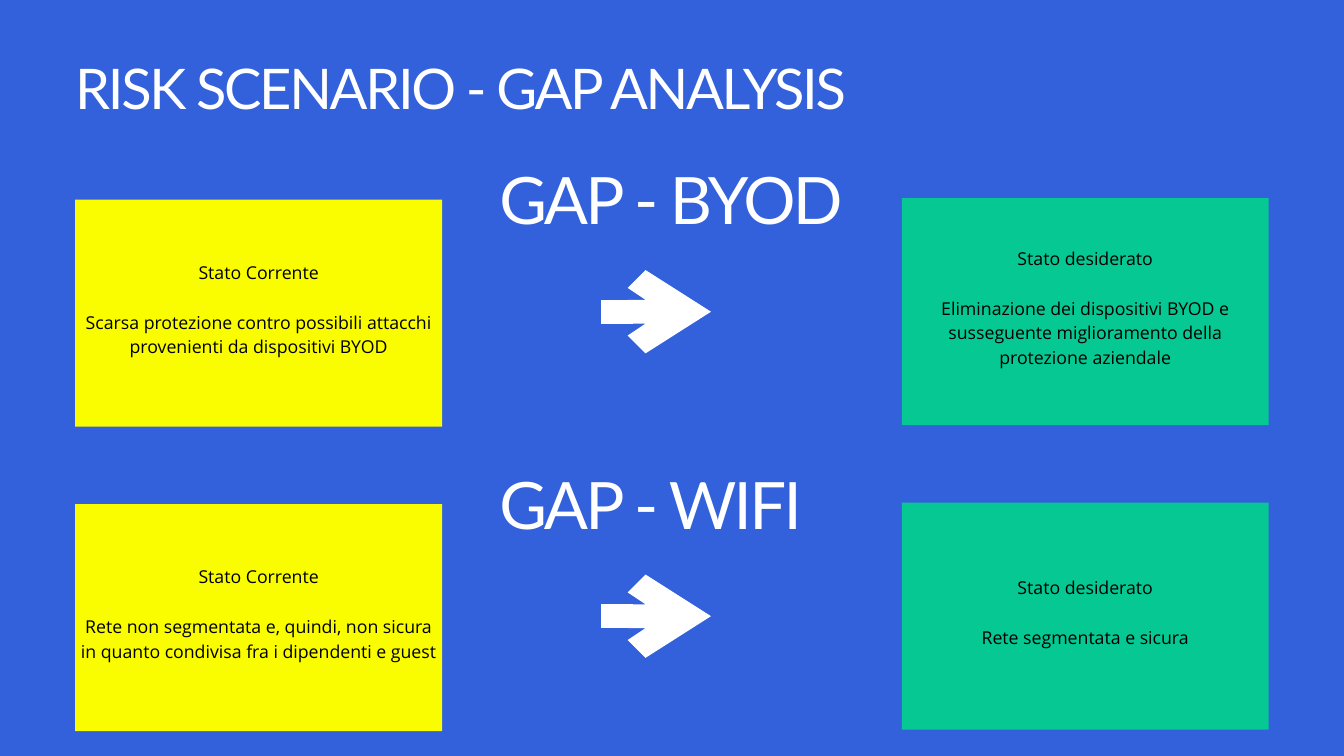
"""Build the gap analysis slide: current and desired state for each risk."""
from lxml.etree import SubElement
from pptx import Presentation
from pptx.dml.color import RGBColor
from pptx.enum.shapes import MSO_CONNECTOR, MSO_SHAPE
from pptx.enum.text import MSO_ANCHOR, PP_ALIGN
from pptx.oxml.ns import qn
from pptx.util import Pt

BLUE = RGBColor(0x32, 0x61, 0xDB)
YELLOW = RGBColor(0xFA, 0xFD, 0x00)
GREEN = RGBColor(0x06, 0xC8, 0x92)
WHITE = RGBColor(0xFF, 0xFF, 0xFF)
BLACK = RGBColor(0x00, 0x00, 0x00)

LEFT, RIGHT = 80.6, 966.2
CARD_W, CARD_H = 393.1, 243.2
FIRST_ROW, ROW_STEP = 175, 326.2
LINE = 26.6

GAPS = [
    ("GAP - BYOD",
     "Scarsa protezione contro possibili attacchi provenienti da dispositivi BYOD",
     "Eliminazione dei dispositivi BYOD e susseguente miglioramento della protezione aziendale"),
    ("GAP - WIFI",
     "Rete non segmentata e, quindi, non sicura in quanto condivisa fra i dipendenti e guest",
     "Rete segmentata e sicura"),
]


def set_insets(tf, side, bottom):
    tf.margin_left = tf.margin_top = tf.margin_right = Pt(side)
    tf.margin_bottom = Pt(bottom)


def add_run(p, text, font, size, color):
    r = p.add_run()
    r.text = text
    r.font.name, r.font.size = font, Pt(size)
    r.font.color.rgb = color
    return r


def add_heading(s, text, x, y, w, size, spacing):
    tf = s.shapes.add_textbox(Pt(x), Pt(y), Pt(w), Pt(size * 1.15)).text_frame
    tf.word_wrap = True
    set_insets(tf, 0, 0)
    p = tf.paragraphs[0]
    p.line_spacing = Pt(size * 1.14)
    r = add_run(p, text, "Lato", size, WHITE)
    r.font._element.set("spc", str(round(spacing * 100)))


def add_card(s, title, body, x, y, fill):
    sp = s.shapes.add_shape(MSO_SHAPE.RECTANGLE, Pt(x), Pt(y), Pt(CARD_W), Pt(CARD_H))
    sp.shadow.inherit = False
    sp.fill.solid()
    sp.fill.fore_color.rgb = fill
    sp.line.fill.background()
    tf = sp.text_frame
    tf.word_wrap = True
    tf.vertical_anchor = MSO_ANCHOR.MIDDLE
    set_insets(tf, 4, 15.5)
    for i, text in enumerate((title, body)):
        p = tf.add_paragraph() if i else tf.paragraphs[0]
        p.alignment = PP_ALIGN.CENTER
        p.line_spacing = Pt(LINE)
        p.space_before = Pt(LINE * i)
        add_run(p, text, "Open Sans", 19, BLACK)


def add_arrow(s, x1, x2, y):
    sp = s.shapes.add_connector(MSO_CONNECTOR.STRAIGHT, Pt(x1), Pt(y), Pt(x2), Pt(y))
    sp.line.color.rgb = WHITE
    sp.line.width = Pt(25.5)
    SubElement(sp.line._get_or_add_ln(), qn("a:tailEnd"), type="arrow")
    SubElement(sp._element.spPr, qn("a:effectLst"))


def main():
    prs = Presentation()
    prs.slide_width, prs.slide_height = Pt(1440), Pt(810)
    s = prs.slides.add_slide(prs.slide_layouts[6])
    s.background.fill.solid()
    s.background.fill.fore_color.rgb = BLUE

    add_heading(s, "RISK SCENARIO - GAP ANALYSIS", LEFT, 60.5, 1041.8, 60, -2.5)
    for i, (name, current, desired) in enumerate(GAPS):
        y = FIRST_ROW + i * ROW_STEP
        add_card(s, "Stato Corrente", current, LEFT, y + 38.9, YELLOW)
        add_card(s, "Stato desiderato", desired, RIGHT, y + 37.3, GREEN)
        add_arrow(s, 643.7, 761.8, y + 159)
        add_heading(s, name, 535, y, 400, 70, -2.9)
    prs.save("out.pptx")


if __name__ == "__main__":
    main()
